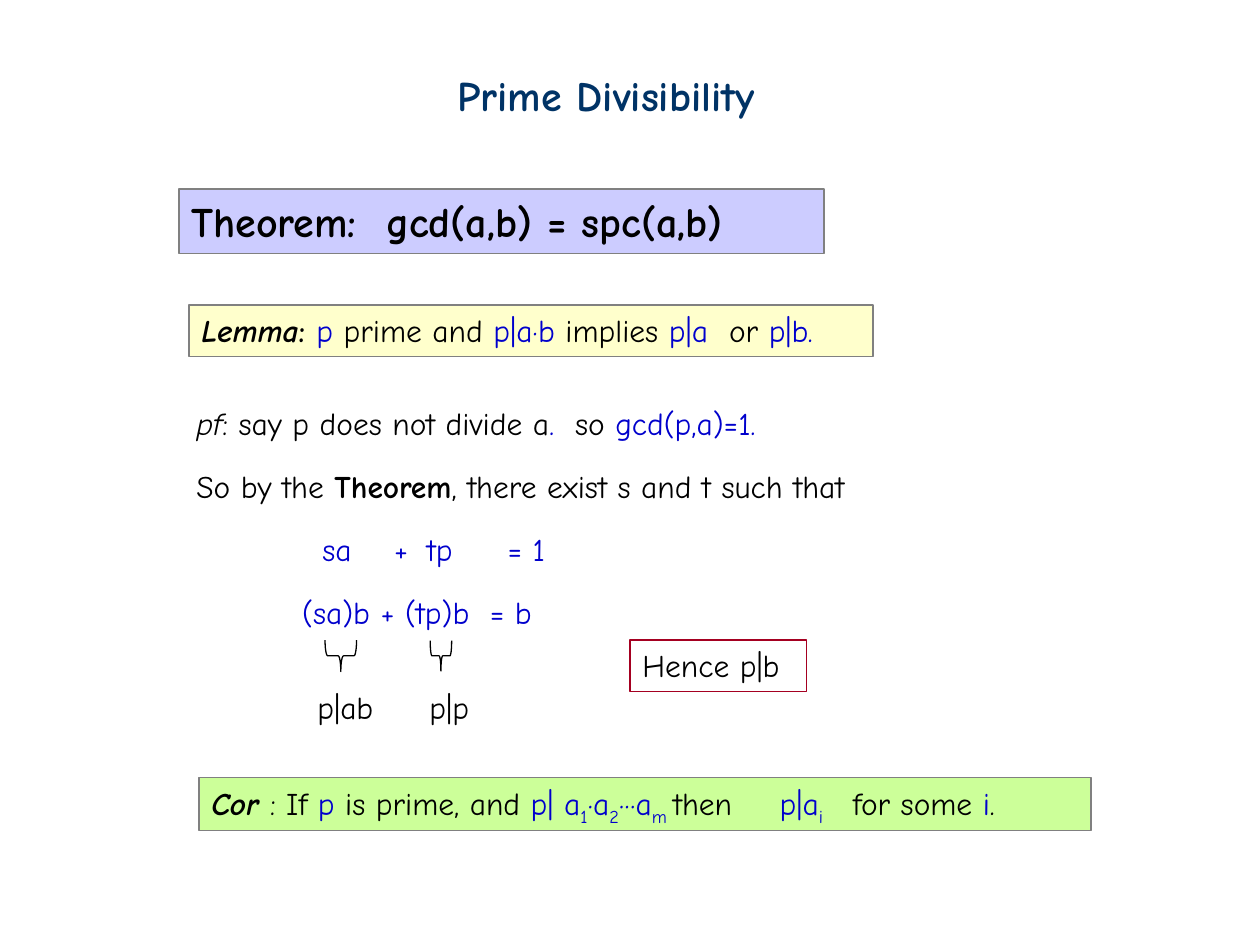
from lxml import etree
from pptx import Presentation
from pptx.dml.color import RGBColor
from pptx.enum.shapes import MSO_SHAPE
from pptx.enum.text import MSO_ANCHOR, MSO_AUTO_SIZE, PP_ALIGN
from pptx.oxml.ns import qn
from pptx.util import Inches, Pt

RECTANGLE, BRACE = MSO_SHAPE.RECTANGLE, MSO_SHAPE.LEFT_BRACE
TOP, LEFT, NO_FIT = MSO_ANCHOR.TOP, PP_ALIGN.LEFT, MSO_AUTO_SIZE.NONE

FONT = "Comic Neue"
COLORS = {
    "title": "003366", "text": "000000", "math": "0000CC",
    "theorem": "CCCCFF", "lemma": "FFFFCC", "corollary": "CCFF99",
    "border": "808080", "result": "A50021",
}


def color(name):
    return RGBColor.from_string(COLORS[name])


def add_runs(para, spans, size=18):
    """Each span is (text, colour, flags): b bold, i italic, s subscript."""
    para.alignment = LEFT
    for text, ink, flags in spans:
        span = para.add_run()
        span.text = text
        span.font.name = FONT
        span.font.size = Pt(size)
        span.font.color.rgb = color(ink)
        span.font.bold = "b" in flags
        span.font.italic = "i" in flags
        if "s" in flags:
            span.font._element.set("baseline", "-25000")


def add_tabs(para, stops):
    tab_list = etree.SubElement(para._p.get_or_add_pPr(), qn("a:tabLst"))
    for stop in stops:
        etree.SubElement(tab_list, qn("a:tab"), pos=str(Inches(stop)), algn="l")


def set_frame(box):
    frame = box.text_frame
    frame.word_wrap = True
    frame.auto_size = NO_FIT
    frame.vertical_anchor = TOP
    return frame


def add_title(page, text, left, top, width, height):
    title = page.shapes.title
    title.left, title.top = Inches(left), Inches(top)
    title.width, title.height = Inches(width), Inches(height)
    add_runs(set_frame(title).paragraphs[0], [(text, "title", "b")], 24)


def add_text(page, left, top, width, height):
    box = page.shapes.add_textbox(
        Inches(left), Inches(top), Inches(width), Inches(height))
    return set_frame(box)


def add_outline(page, kind, place, fill, line):
    shape = page.shapes.add_shape(kind, *[Inches(n) for n in place])
    shape.shadow.inherit = False
    if fill:
        shape.fill.solid()
        shape.fill.fore_color.rgb = color(fill)
    else:
        shape.fill.background()
    shape.line.color.rgb = color(line)
    shape.line.width = Pt(0.75)
    return shape


def add_statement(page, place, fill, line, spans, size=18):
    box = add_outline(page, RECTANGLE, place, fill, line)
    para = set_frame(box).paragraphs[0]
    add_runs(para, spans, size)
    return para


def add_brace(page, left, top, width, height):
    brace = add_outline(page, BRACE, (left, top, width, height), None, "text")
    brace.rotation = 270
    brace.adjustments[0] = 0.083


def add_proof(page):
    lines = [
        ([("pf", "text", "i"), (": say p does not divide a", "text", ""),
          (".  ", "math", ""), ("so ", "text", ""), ("gcd(p,a)=1.", "math", "")], []),
        ([("So by the ", "text", ""), ("Theorem", "text", "b"),
          (", there exist s and t such that", "text", "")], []),
        ([("\tsa\t+\ttp\t= 1", "math", "")], [1, 1.57, 1.83, 2.47]),
        ([("\t(sa)b + (tp)b\t= b", "math", "")], [0.84, 2.33]),
    ]
    frame = add_text(page, 1.46, 3.16, 6.12, 2.08)
    for index, (spans, stops) in enumerate(lines):
        para = frame.add_paragraph() if index else frame.paragraphs[0]
        para.space_before = Pt(3.6)
        if index:
            para.line_spacing = 1.5
        add_runs(para, spans)
        if stops:
            add_tabs(para, stops)


def main():
    deck = Presentation()
    deck.slide_width, deck.slide_height = Inches(10), Inches(7.5)
    page = deck.slides.add_slide(deck.slide_layouts[5])
    add_title(page, "Prime Divisibility", 3.53, 0.5, 2.88, 0.5)

    # Theorem and lemma
    add_statement(page, (1.42, 1.5, 5.12, 0.51), "theorem", "border",
                  [("Theorem:  gcd(a,b) = spc(a,b)", "text", "b")], 24)
    add_statement(page, (1.5, 2.42, 5.43, 0.41), "lemma", "border", [
        ("Lemma", "text", "bi"), (": ", "text", "b"), ("p", "math", ""),
        (" prime and ", "text", ""), ("p|a·b ", "math", ""),
        ("implies ", "text", ""), ("p|a  ", "math", ""),
        ("or", "text", ""), (" p|b.", "math", "")])

    # Proof, with braces under the two products
    add_proof(page)
    add_brace(page, 2.58, 5.08, 0.25, 0.25)
    add_brace(page, 3.38, 5.12, 0.24, 0.17)
    for text, left, width in [("p|ab", 2.42, 0.72), ("p|p", 3.31, 0.57)]:
        frame = add_text(page, left, 5.41, width, 0.4)
        add_runs(frame.paragraphs[0], [(text, "text", "")])
    add_statement(page, (5, 5.08, 1.4, 0.41), None, "result",
                  [("Hence p|b", "text", "")])

    # Corollary
    corollary = add_statement(page, (1.58, 6.17, 7.08, 0.42), "corollary", "border", [
        ("Cor ", "text", "bi"), (": If ", "text", ""), ("p", "math", ""),
        (" is prime, and ", "text", ""), ("p| a", "math", ""),
        ("1", "math", "s"), ("·a", "math", ""), ("2", "math", "s"),
        ("···a", "math", ""), ("m ", "math", "s"), ("then\t", "text", ""),
        ("p|a", "math", ""), ("i", "math", "s"), ("\tfor some", "text", ""),
        (" i", "math", ""), (".", "text", "")])
    add_tabs(corollary, [4.51, 5.09])

    deck.save("out.pptx")


if __name__ == "__main__":
    main()
